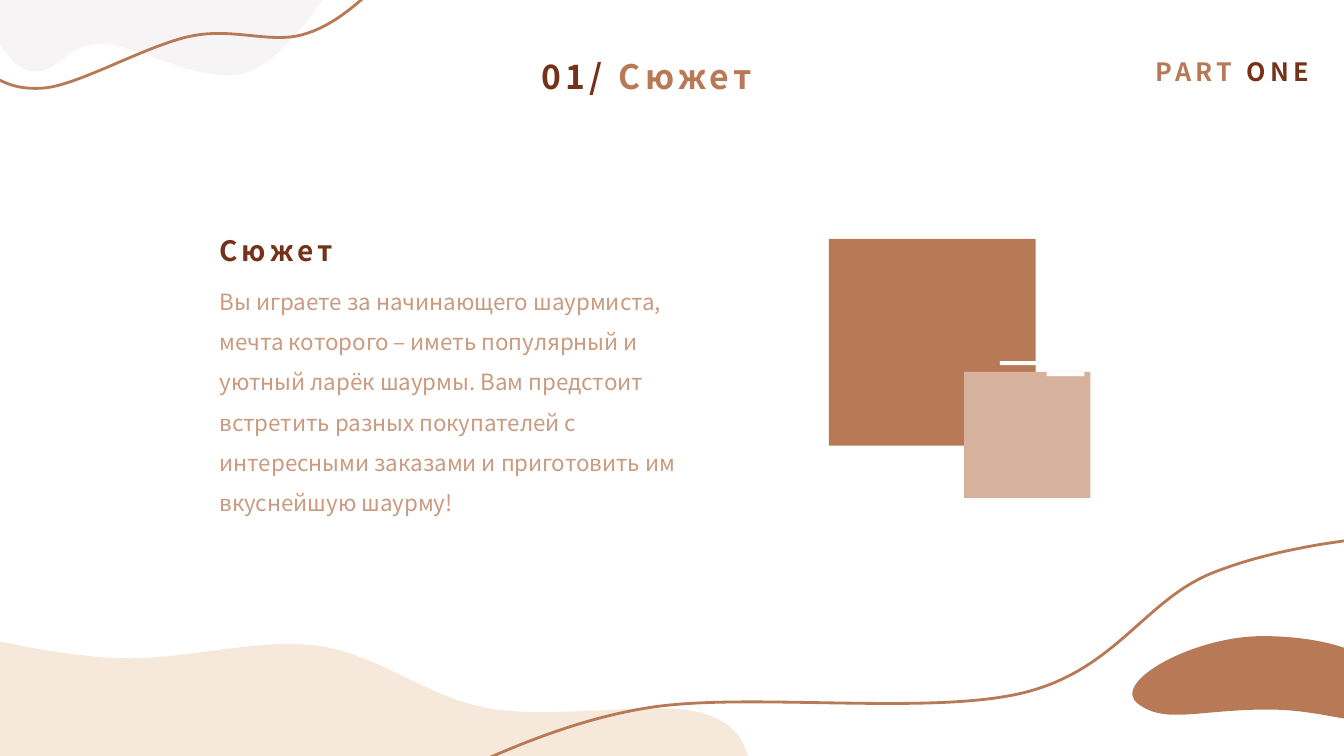
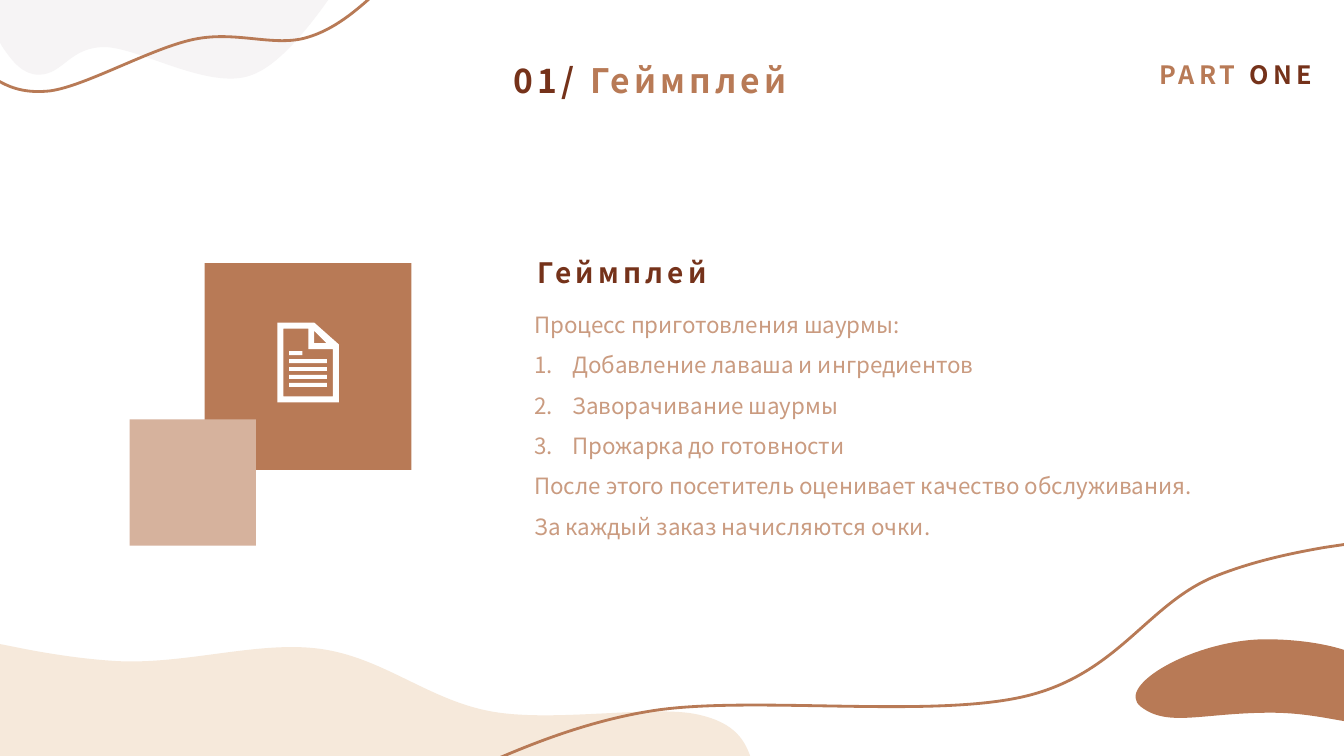
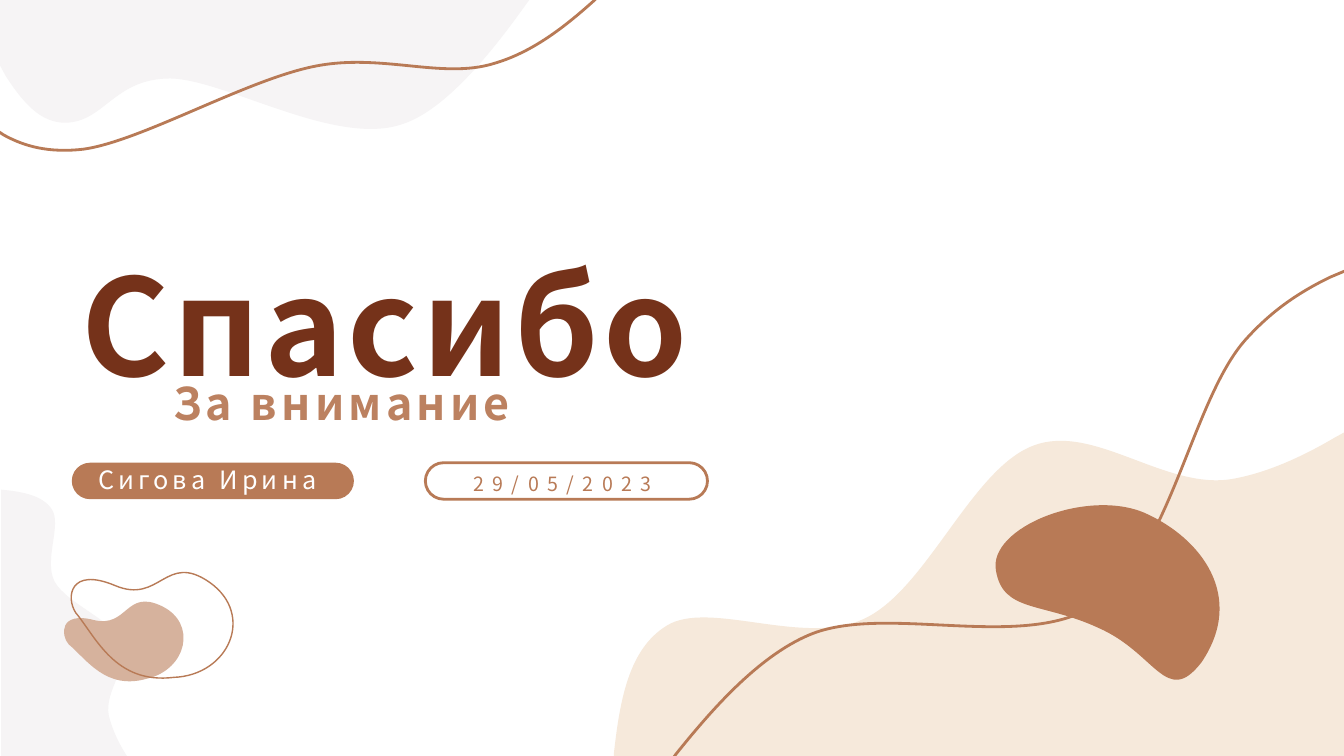
from lxml.etree import Element, SubElement
from pptx import Presentation
from pptx.dml.color import RGBColor
from pptx.enum.shapes import MSO_SHAPE as Preset
from pptx.enum.text import MSO_ANCHOR as Anchor, MSO_AUTO_SIZE as AutoSize, PP_ALIGN as Align
from pptx.oxml.ns import qn
from pptx.util import Cm, Pt

FONT = "Noto Sans CJK SC"
CLAY, BROWN, SAND, ROSE = "B87A56", "75321A", "CA9B80", "D6B29D"
CREAM, MIST, WHITE, TAN = "F6E9DB", "F6F4F5", "FFFFFF", "BC8160"
colour = RGBColor.from_string

# Outlines in free units: two numbers are a corner, six are a Bézier curve
CLOUD = [(0, 0), (525, 0), (522, 4), (488, 52, 442, 109, 400, 123),
         (334, 147, 224, 79, 169, 78), (113, 78, 104, 121, 65, 122),
         (40, 122, 23, 102, 6, 76), (0, 65)]
RIBBON = [(-5, -6), (596, -6), (590, 0), (560, 27, 528, 52, 490, 63),
          (438, 79, 378, 52, 311, 66), (243, 80, 140, 140, 83, 148),
          (48, 152, 24, 145, 4, 134), (-5, 128)]
DUNE = [(1333, 429), (1333, 750), (609, 750), (609, 748), (615, 694, 624, 644, 661, 621),
        (703, 594, 799, 643, 859, 613), (920, 583, 964, 465, 1025, 442),
        (1085, 419, 1156, 487, 1223, 475), (1256, 469, 1290, 454, 1324, 434)]
RIVER = [(1339, 267), (1339, 756), (665, 756), (671, 748), (704, 707, 751, 652, 803, 630),
         (879, 598, 1017, 648, 1089, 599), (1161, 550, 1183, 396, 1236, 337),
         (1263, 307, 1291, 289, 1320, 275)]
PEBBLE = [(1132, 701), (1105, 680, 1187, 634, 1256, 634), (1324, 634, 1394, 655, 1380, 701),
          (1364, 734, 1330, 707, 1261, 707), (1193, 707, 1159, 722, 1132, 701)]
BEAN = [(988, 566), (980, 523, 1079, 484, 1136, 509), (1192, 534, 1236, 592, 1192, 657),
        (1157, 702, 1147, 648, 1090, 623), (1034, 597, 995, 608, 988, 566)]
SHORE = [(126, 750), (1, 750), (1, 486), (23, 488, 42, 492, 51, 505),
         (62, 520, 43, 555, 54, 577), (66, 599, 112, 615, 121, 638),
         (130, 660, 103, 685, 108, 710), (111, 722, 116, 734, 124, 747)]
DROP = [(68, 639), (60, 630, 59, 606, 93, 615), (127, 623, 124, 584, 160, 601),
        (196, 618, 185, 664, 146, 673), (105, 685, 86, 654, 68, 639)]
LOOP = [(75, 608), (65, 593, 69, 562, 114, 581), (159, 600, 164, 547, 208, 578),
        (253, 610, 227, 670, 172, 672), (114, 679, 95, 632, 75, 608)]

# Decoration: outline, left, top, width, height of its nodes in cm (negative width mirrors),
# fill, line, points
CONTENT_DECOR = [
    (CLOUD, -0.05, -0.05, 8.36, 1.95, MIST, None, 0),
    (RIBBON, -0.13, -0.15, 9.56, 2.44, None, CLAY, 2),
    (DUNE, 18.95, 16.23, -18.95, 2.97, CREAM, None, 0),
    (RIVER, 12, 13.7, 22.02, 5.66, None, CLAY, 2),
    (PEBBLE, 28.75, 16.11, 6.3, 1.85, CLAY, None, 0)]
CLOSING_DECOR = [
    (CLOUD, 0, 0, 13.34, 3.12, MIST, None, 0),
    (RIBBON, -0.13, -0.15, 15.27, 3.91, None, CLAY, 2),
    (DUNE, 15.47, 10.9, 18.4, 8.15, CREAM, None, 0),
    (RIVER, 16.89, 6.78, 17.12, 12.42, None, CLAY, 2),
    (BEAN, 25.1, 12.93, 5.18, 3.76, CLAY, None, 0),
    (SHORE, 0.03, 12.34, 3.17, 6.71, MIST, None, 0),
    (DROP, 1.73, 15.27, 2.34, 1.83, ROSE, None, 0),
    (LOOP, 1.91, 14.68, 3.38, 2.39, None, CLAY, 1)]


def style(shape, fill=None, line=None, weight=2):
    shape.shadow.inherit = False
    if fill:
        shape.fill.solid()
        shape.fill.fore_color.rgb = colour(fill)
    else:
        shape.fill.background()
    if line:
        shape.line.color.rgb = colour(line)
        shape.line.width = Pt(weight)
    else:
        shape.line.fill.background()


def write(box, place, texts, inks, size, bold=True, spacing=3, align=Align.LEFT, leading=1):
    box.left, box.top, box.width, box.height = map(Cm, place)
    frame = box.text_frame
    frame.word_wrap = True
    frame.auto_size = AutoSize.NONE
    frame.vertical_anchor = Anchor.TOP
    frame.text = texts[0]
    for text in texts[1:]:
        frame.paragraphs[0].add_run().text = text
    for paragraph in frame.paragraphs:
        paragraph.alignment = align
        paragraph.space_before = Pt(0)
        paragraph.line_spacing = leading
        for span, ink in zip(paragraph.runs, inks):
            span.font.name = FONT
            span.font.size = Pt(size)
            span.font.bold = bold
            span.font.color.rgb = colour(ink)
            span.font._element.set("spc", str(spacing * 100))


deck = Presentation()
deck.slide_width, deck.slide_height = Cm(33.87), Cm(19.05)

# Pages with their decoration; the first one sits slightly up and left
pages = []
for layout, decor, shift in [(1, CONTENT_DECOR, -0.08), (1, CONTENT_DECOR, 0),
                             (0, CLOSING_DECOR, 0)]:
    page = deck.slides.add_slide(deck.slide_layouts[layout])
    pages.append(page)
    for outline, left, top, width, height, fill, line, weight in decor:
        xs, ys = zip(*[part[-2:] for part in outline])
        x_scale = width / (max(xs) - min(xs))
        y_scale = height / (max(ys) - min(ys))
        parts = [[(Cm(left + shift + (x - min(xs)) * x_scale),
                   Cm(top + shift + (y - min(ys)) * y_scale))
                  for x, y in zip(part[::2], part[1::2])] for part in outline]
        builder = page.shapes.build_freeform(*parts[0][0])
        builder.add_line_segments([part[-1] for part in parts[1:]], close=True)
        shape = builder.convert_to_shape()
        style(shape, fill, line, weight)
        # Bend the segments that have control points
        segments = list(shape._element.iter(qn("a:lnTo")))
        for segment, part in zip(segments, parts[1:]):
            if len(part) == 3:
                segment.tag = qn("a:cubicBezTo")
                for place, (x, y) in enumerate(part[:2]):
                    segment.insert(place, Element(qn("a:pt"), x=str(x - shape.left),
                                                  y=str(y - shape.top)))

plot_page, game_page, closing_page = pages

# Content pages: shift, topic, squares, heading and body places, body text
PLOT = ("Вы играете за начинающего шаурмиста, мечта которого – иметь популярный и уютный "
        "ларёк шаурмы. Вам предстоит встретить разных покупателей с интересными заказами "
        "и приготовить им вкуснейшую шаурму!")
STEPS = ["Добавление лаваша и ингредиентов", "Заворачивание шаурмы", "Прожарка до готовности"]
GAME = "\n".join(["Процесс приготовления шаурмы:", *STEPS,
                  "После этого посетитель оценивает качество обслуживания. "
                  "За каждый заказ начисляются очки."])
for page, shift, topic, big, small, heading_place, body_place, body_text in [
        (plot_page, -0.08, "Сюжет", (20.89, 6.02), (24.3, 9.37),
         (5.28, 5.77, 10.19, 1.12), (5.28, 6.79, 13.28, 5.28), PLOT),
        (game_page, 0, "Геймплей", (5.16, 6.63), (3.27, 10.57),
         (13.3, 6.32, 10.19, 1.12), (13.21, 7.38, 17.83, 6.3), GAME)]:
    write(page.shapes.title, (11.07 + shift, 1.37 + shift, 10.62, 1.27),
          ["01/ ", topic], [BROWN, CLAY], 24, align=Align.CENTER)
    write(page.shapes.add_textbox(0, 0, 0, 0), (28.83 + shift, 1.37 + shift, 4.62, 1.8),
          ["PART ", "ONE"], [CLAY, BROWN], 18, align=Align.CENTER)
    for corner, side, fill in [(big, 5.21, CLAY), (small, 3.18, ROSE)]:
        square = page.shapes.add_shape(Preset.RECTANGLE, *map(Cm, (*corner, side, side)))
        style(square, fill)
    write(page.shapes.add_textbox(0, 0, 0, 0), heading_place, [topic], [BROWN], 20)
    body = page.placeholders[1]
    write(body, body_place, [body_text], [SAND], 16, bold=False, spacing=0, leading=1.5)
    for paragraph in body.text_frame.paragraphs:
        properties = paragraph._p.get_or_add_pPr()
        numbered = paragraph.text in STEPS
        indent = Cm(0.96) if numbered else 0
        properties.set("marL", str(indent))
        properties.set("indent", str(-indent))
        if numbered:
            SubElement(properties, qn("a:buFont"), typeface="+mj-lt")
            SubElement(properties, qn("a:buAutoNum"), type="arabicPeriod")
        else:
            SubElement(properties, qn("a:buNone"))

# Document icon: sheet with two openings
contours = [
    [(7.92, 8.13), (6.99, 8.13), (6.99, 10.14), (8.54, 10.14), (8.54, 8.68)],
    [(7.14, 9.99), (7.14, 8.28), (7.77, 8.28), (7.77, 8.8), (8.39, 8.8), (8.39, 9.99)],
    [(7.92, 8.34), (8.23, 8.65), (7.92, 8.65)]]
contours = [[(Cm(x), Cm(y)) for x, y in contour] for contour in contours]
builder = game_page.shapes.build_freeform(*contours[0][0])
for number, contour in enumerate(contours):
    if number:
        builder.move_to(*contour[0])
    builder.add_line_segments(contour[1:], close=True)
style(builder.convert_to_shape(), WHITE)

# White bars: text lines of the icon, and two on the plot page
bars = [(game_page, 7.29, 8.85 + 0.2 * row, 0.95 if row else 0.33) for row in range(5)]
bars += [(plot_page, 25.2, 9.1, 0.95), (plot_page, 26.38, 9.38, 0.95)]
for page, left, top, width in bars:
    style(page.shapes.add_shape(Preset.RECTANGLE, *map(Cm, (left, top, width, 0.1))), WHITE)

# Closing page
write(closing_page.shapes.title, (1.8, 5.97, 16.48, 4.37), ["Спасибо"], [BROWN], 96)
write(closing_page.placeholders[1], (4.11, 9.35, 11.1, 1.63), ["За внимание"], [TAN], 32)
for left, fill, line, place, text, ink, size, spacing, align in [
        (1.81, CLAY, None, (2.08, 11.58, 6.3, 1.02),
         "Сигова Ирина", WHITE, 18, 3, Align.CENTER),
        (10.72, None, CLAY, (11.68, 11.76, 5.05, 0.86),
         "29/05/2023", CLAY, 14, 6, Align.LEFT)]:
    pill = closing_page.shapes.add_shape(Preset.ROUNDED_RECTANGLE,
                                         *map(Cm, (left, 11.66, 7.11, 0.92)))
    pill.adjustments[0] = 0.5
    style(pill, fill, line)
    label = closing_page.shapes.add_textbox(0, 0, 0, 0)
    write(label, place, [text], [ink], size, bold=False, spacing=spacing, align=align)
    label.text_frame.word_wrap = align == Align.CENTER

deck.save("out.pptx")
